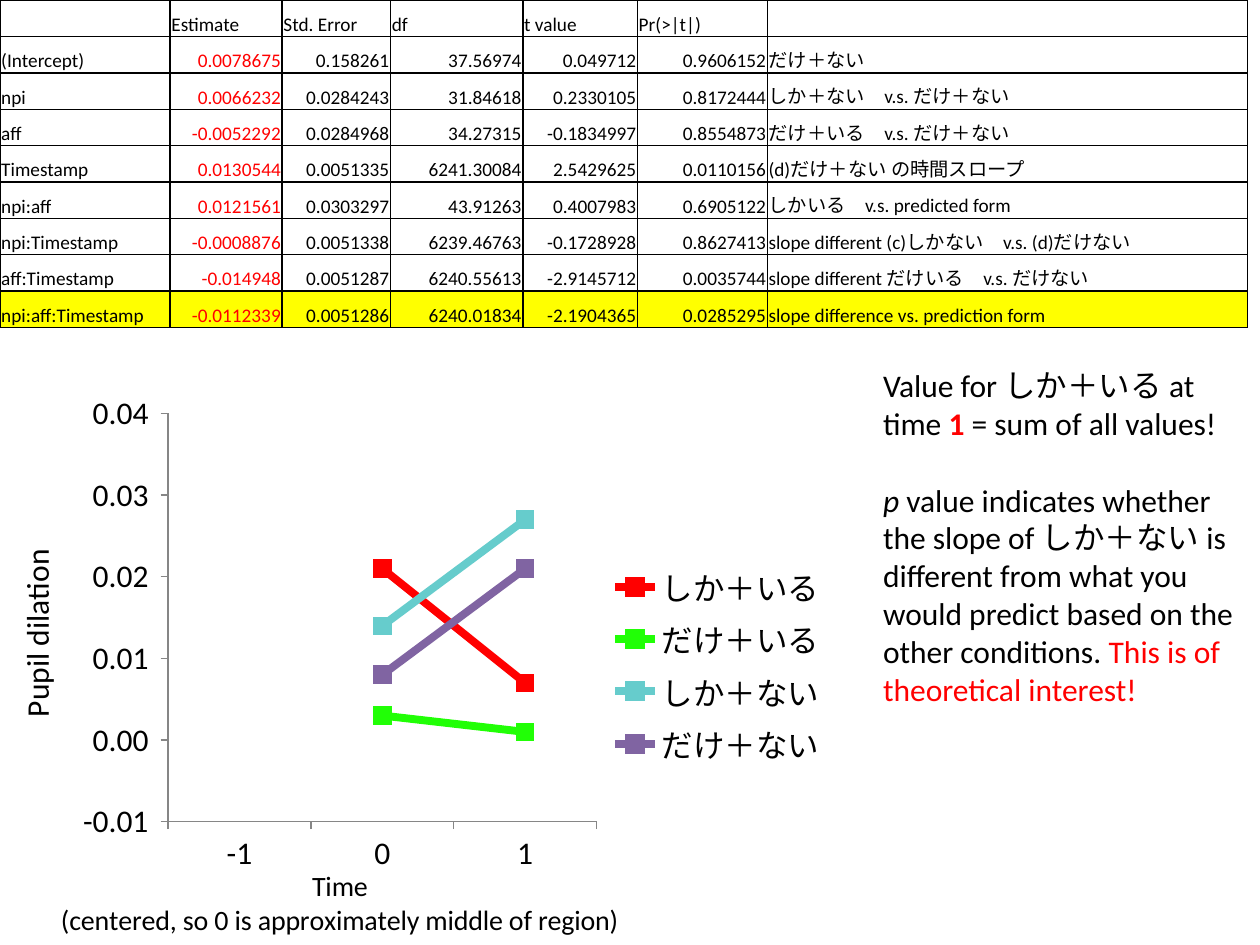
from lxml.etree import SubElement
from pptx import Presentation
from pptx.chart.data import CategoryChartData
from pptx.dml.color import RGBColor
from pptx.enum.chart import (XL_AXIS_CROSSES, XL_CHART_TYPE, XL_LEGEND_POSITION,
                             XL_MARKER_STYLE, XL_TICK_LABEL_POSITION, XL_TICK_MARK)
from pptx.enum.text import MSO_ANCHOR, PP_ALIGN
from pptx.oxml import parse_xml
from pptx.oxml.ns import nsdecls, qn
from pptx.util import Inches, Pt

FONT = "Calibri"
BLACK, RED, YELLOW, WHITE, GRAY = "000000", "FF0000", "FFFF00", "FFFFFF", "868686"

COLUMN_WIDTHS = [1.35, 0.89, 0.86, 1.05, 0.91, 1.03, 3.81]
TABLE_HEIGHT = 2.6
ROWS = [
    ("", "Estimate", "Std. Error", "df", "t value", "Pr(>|t|)", ""),
    ("(Intercept)", "0.0078675", "0.158261", "37.56974", "0.049712", "0.9606152",
     "だけ＋ない"),
    ("npi", "0.0066232", "0.0284243", "31.84618", "0.2330105", "0.8172444",
     "しか＋ない　v.s. だけ＋ない"),
    ("aff", "-0.0052292", "0.0284968", "34.27315", "-0.1834997", "0.8554873",
     "だけ＋いる　v.s. だけ＋ない"),
    ("Timestamp", "0.0130544", "0.0051335", "6241.30084", "2.5429625", "0.0110156",
     "(d)だけ＋ない の時間スロープ"),
    ("npi:aff", "0.0121561", "0.0303297", "43.91263", "0.4007983", "0.6905122",
     "しかいる　v.s. predicted form"),
    ("npi:Timestamp", "-0.0008876", "0.0051338", "6239.46763", "-0.1728928", "0.8627413",
     "slope different (c)しかない　v.s. (d)だけない"),
    ("aff:Timestamp", "-0.014948", "0.0051287", "6240.55613", "-2.9145712", "0.0035744",
     "slope different だけいる　v.s. だけない"),
    ("npi:aff:Timestamp", "-0.0112339", "0.0051286", "6240.01834", "-2.1904365", "0.0285295",
     "slope difference vs. prediction form"),
]
ROW_FILLS = {"Timestamp": WHITE, "npi:aff:Timestamp": YELLOW}

TIMES = ["-1", "0", "1"]
SERIES = [
    ("しか＋いる", (None, 0.021, 0.007), "FF0000"),
    ("だけ＋いる", (None, 0.003, 0.001), "21FF06"),
    ("しか＋ない", (None, 0.014, 0.027), "66CCCC"),
    ("だけ＋ない", (None, 0.008, 0.021), "8064A2"),
]
TIME_TITLE = ["Time", "(centered, so 0 is approximately middle of region)"]
PLOT_AREA = {"x": 0.2, "y": 0.05, "w": 0.51, "h": 0.73}

NOTES = [
    [("Value for しか＋いる at time", {}), (" 1", {"color": RED, "bold": True}),
     (" = sum of all values!", {})],
    [("p", {"italic": True}),
     (" value indicates whether the slope of しか＋ない is different from what you "
      "would predict based on the other conditions. ", {}),
     ("This is of theoretical interest!", {"color": RED})],
]


def rgb(value):
    return RGBColor.from_string(value)


def format_font(font, size, color=BLACK, bold=False, italic=False):
    font.name, font.size, font.bold, font.italic = FONT, Pt(size), bold, italic
    font.color.rgb = rgb(color)


def add_text(para, text, size=18, align=None, **style):
    span = para.add_run()
    span.text = text
    format_font(span.font, size, **style)
    if align is not None:
        para.alignment = align


def add_borders(cell):
    for side in ("lnL", "lnR", "lnT", "lnB"):
        line = SubElement(cell._tc.get_or_add_tcPr(), qn("a:" + side), w=str(Pt(1)))
        fill = SubElement(line, qn("a:solidFill"))
        SubElement(fill, qn("a:srgbClr"), val=BLACK)


def fill_cell(cell, text, fill, **style):
    cell.margin_left = cell.margin_right = cell.margin_top = Inches(0.01)
    cell.margin_bottom = 0
    cell.vertical_anchor = MSO_ANCHOR.BOTTOM
    add_text(cell.text_frame.paragraphs[0], text, size=11, **style)
    add_borders(cell)
    if fill:
        cell.fill.solid()
        cell.fill.fore_color.rgb = rgb(fill)
    else:
        cell.fill.background()


def add_estimates(page):
    table = page.shapes.add_table(len(ROWS), len(COLUMN_WIDTHS), 0, 0,
                                  Inches(sum(COLUMN_WIDTHS)), Inches(TABLE_HEIGHT)).table
    table.first_row = table.horz_banding = False
    for column, width in zip(table.columns, COLUMN_WIDTHS):
        column.width = Inches(width)
    for r, values in enumerate(ROWS):
        table.rows[r].height = Inches(TABLE_HEIGHT / len(ROWS))
        for c, text in enumerate(values):
            is_number = r > 0 and 0 < c < len(values) - 1
            fill_cell(table.cell(r, c), text, ROW_FILLS.get(values[0]),
                      align=PP_ALIGN.RIGHT if is_number else PP_ALIGN.LEFT,
                      color=RED if is_number and c == 1 else BLACK)


def add_axis_title(axis, lines, size):
    frame = axis.axis_title.text_frame
    for number, line in enumerate(lines):
        para = frame.paragraphs[0] if number == 0 else frame.add_paragraph()
        add_text(para, line, size=size)


def set_plot_area(chart):
    """Fix the inner plot area as fractions of the chart."""
    area = chart._chartSpace.chart.plotArea
    for old in area.findall(qn("c:layout")):
        area.remove(old)
    sizes = "".join(f'<c:{key} val="{value}"/>' for key, value in PLOT_AREA.items())
    area.insert(0, parse_xml(
        f'<c:layout {nsdecls("c")}><c:manualLayout><c:layoutTarget val="inner"/>'
        f'<c:xMode val="edge"/><c:yMode val="edge"/>{sizes}</c:manualLayout></c:layout>'))


def add_dilation_chart(page):
    data = CategoryChartData(number_format="0.000")
    data.categories = TIMES
    for name, values, _ in SERIES:
        data.add_series(name, values)
    chart = page.shapes.add_chart(XL_CHART_TYPE.LINE_MARKERS, 0, Inches(3.06),
                                  Inches(6.67), Inches(4.44), data).chart
    format_font(chart.font, 18)
    chart.has_title = False
    chart.has_legend = True
    chart.legend.position = XL_LEGEND_POSITION.RIGHT
    chart.legend.include_in_layout = False
    set_plot_area(chart)

    for series, (_, _, color) in zip(chart.plots[0].series, SERIES):
        series.smooth = False
        series.format.line.width = Pt(4.5)
        series.format.line.color.rgb = rgb(color)
        marker = series.marker
        marker.style, marker.size = XL_MARKER_STYLE.SQUARE, 10
        marker.format.fill.solid()
        marker.format.fill.fore_color.rgb = rgb(color)
        marker.format.line.color.rgb = rgb(color)

    time, dilation = chart.category_axis, chart.value_axis
    for axis in (time, dilation):
        axis.has_major_gridlines = False
        axis.major_tick_mark = XL_TICK_MARK.OUTSIDE
        axis.minor_tick_mark = XL_TICK_MARK.NONE
        axis.format.line.color.rgb = rgb(GRAY)
    time.tick_label_position = XL_TICK_LABEL_POSITION.LOW
    dilation.crosses = XL_AXIS_CROSSES.MINIMUM
    dilation.minimum_scale, dilation.maximum_scale = -0.01, 0.04
    dilation.major_unit = 0.01
    dilation.tick_labels.number_format = "0.00_ "
    dilation.tick_labels.number_format_is_linked = False
    add_axis_title(time, TIME_TITLE, 16)
    add_axis_title(dilation, ["Pupil dilation"], 18)


def add_notes(page):
    box = page.shapes.add_textbox(Inches(6.91), Inches(2.86), Inches(2.98), Inches(2.83))
    frame = box.text_frame
    frame.word_wrap = True
    for number, spans in enumerate(NOTES):
        para = frame.paragraphs[0] if number == 0 else frame.add_paragraph()
        para.space_before = Pt(22 * number)
        for text, style in spans:
            add_text(para, text, **style)


def main():
    deck = Presentation()
    deck.slide_width, deck.slide_height = Inches(10), Inches(7.5)
    page = deck.slides.add_slide(deck.slide_layouts[6])
    add_estimates(page)
    add_notes(page)
    add_dilation_chart(page)
    deck.save("out.pptx")


if __name__ == "__main__":
    main()
